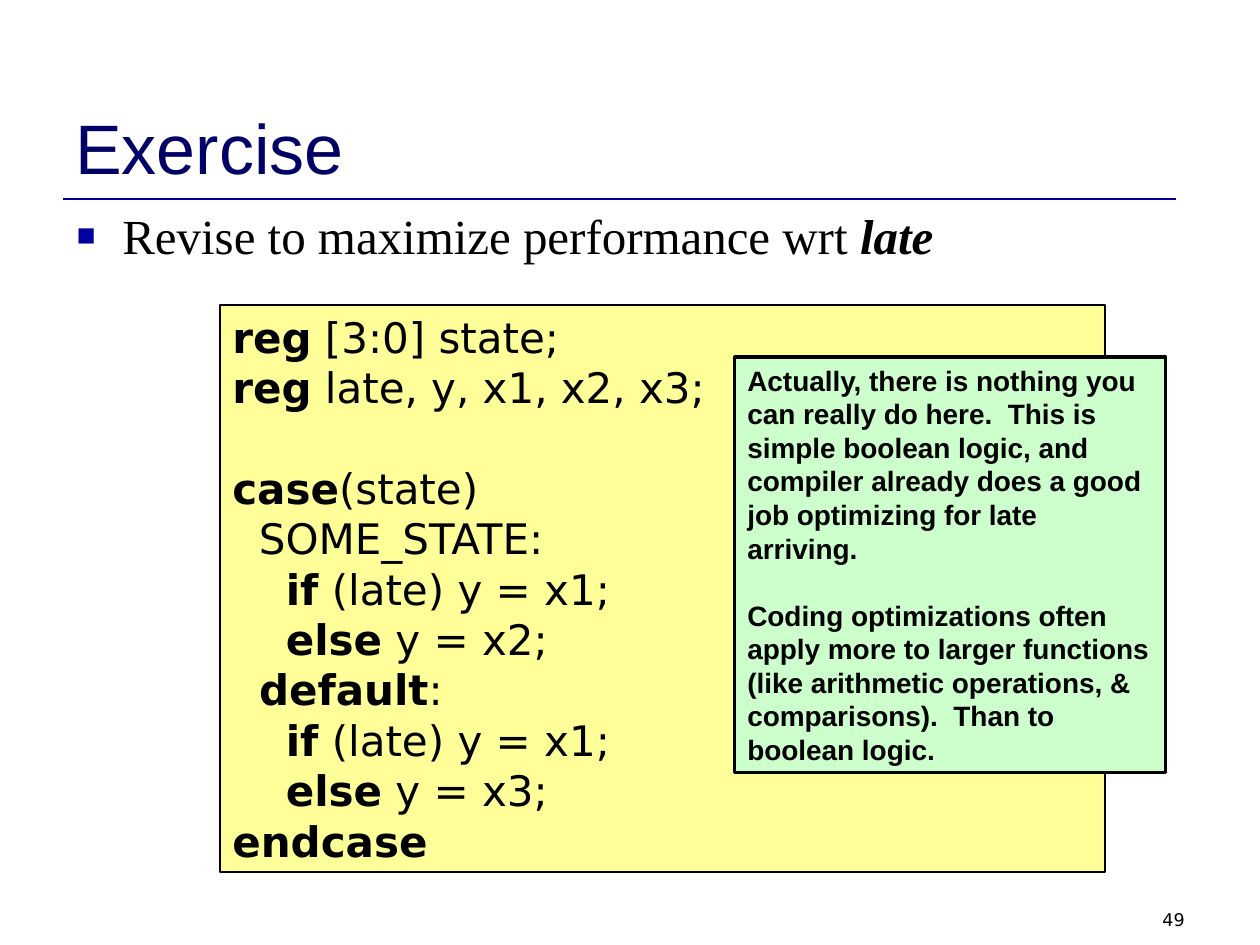
"""Build the Exercise slide with its code panel and comment panel."""
import dataclasses
import typing

import lxml.etree
import pptx
import pptx.dml.color
import pptx.enum.shapes
import pptx.enum.text
import pptx.oxml.ns
import pptx.util

PX = 914400 // 126


@dataclasses.dataclass(frozen=True)
class Theme:
    title: str = "000066"
    accent: str = "0000A0"
    ink: str = "000000"
    code_fill: str = "FFFF99"
    comment_fill: str = "CCFFCC"
    sans: str = "Arial"
    serif: str = "Times New Roman"
    code_font: str = "DejaVu Sans"
    title_size: int = 40
    bullet_size: int = 28
    code_size: int = 24
    comment_size: int = 16
    number_size: int = 10
    leading: float = 1.2


THEME = Theme()


class Area(typing.NamedTuple):
    left: int
    top: int
    width: int
    height: int


class Style(typing.NamedTuple):
    font: str
    size: int
    color: str = THEME.ink


class Span(typing.NamedTuple):
    text: str
    bold: bool = False
    italic: bool = False


class Line(typing.NamedTuple):
    spans: tuple[Span, ...]
    gap_before: bool = False


@dataclasses.dataclass(frozen=True)
class Panel:
    area: Area
    fill: str
    border: float
    style: Style
    lines: tuple[Line, ...]


def code(indent: str, keyword: str, rest: str = "", gap_before: bool = False) -> Line:
    spans = (Span(indent), Span(keyword, bold=True), Span(rest))
    return Line(tuple(span for span in spans if span.text), gap_before)


def branches(other: str) -> tuple[Line, ...]:
    return code("    ", "if", " (late) y = x1;"), code("    ", "else", f" y = {other};")


CODE = Panel(
    Area(220, 305, 885, 567), THEME.code_fill, 1,
    Style(THEME.code_font, THEME.code_size),
    (
        code("", "reg", " [3:0] state;"),
        code("", "reg", " late, y, x1, x2, x3;"),
        code("", "case", "(state)", gap_before=True),
        code("  ", "", "SOME_STATE:"),
        *branches("x2"),
        code("  ", "default", ":"),
        *branches("x3"),
        code("", "endcase"),
    ),
)
COMMENT = Panel(
    Area(735, 357, 431, 416), THEME.comment_fill, 1.75,
    Style(THEME.sans, THEME.comment_size),
    (
        Line((Span("Actually, there is nothing you can really do here.  This is simple "
                   "boolean logic, and compiler already does a good job optimizing for "
                   "late arriving.", bold=True),)),
        Line((Span("Coding optimizations often apply more to larger functions (like "
                   "arithmetic operations, & comparisons).  Than to boolean logic.",
                   bold=True),), gap_before=True),
    ),
)


def rgb(color: str) -> pptx.dml.color.RGBColor:
    return pptx.dml.color.RGBColor.from_string(color)


def emu(area: Area) -> list[int]:
    return [length * PX for length in area]


def add_spans(para, spans: tuple[Span, ...], style: Style) -> None:
    for span in spans:
        run = para.add_run()
        run.text = span.text
        run.font.name = style.font
        run.font.size = pptx.util.Pt(style.size)
        run.font.color.rgb = rgb(style.color)
        run.font.bold = span.bold
        run.font.italic = span.italic


def add_text(page, area: Area, spans: tuple[Span, ...], style: Style,
             anchor=pptx.enum.text.MSO_ANCHOR.TOP, align=pptx.enum.text.PP_ALIGN.LEFT):
    box = page.shapes.add_textbox(*emu(area))
    box.text_frame.word_wrap = True
    box.text_frame.vertical_anchor = anchor
    para = box.text_frame.paragraphs[0]
    para.alignment = align
    add_spans(para, spans, style)
    return para


def add_bullet(para, color: str, percent: int, indent: int) -> None:
    properties = para._p.get_or_add_pPr()
    properties.set("marL", str(indent * PX))
    properties.set("indent", str(-indent * PX))
    qn = pptx.oxml.ns.qn
    bullet_color = lxml.etree.SubElement(properties, qn("a:buClr"))
    lxml.etree.SubElement(bullet_color, qn("a:srgbClr"), val=color)
    lxml.etree.SubElement(properties, qn("a:buSzPct"), val=str(percent * 1000))
    lxml.etree.SubElement(properties, qn("a:buFont"), typeface=THEME.sans)
    lxml.etree.SubElement(properties, qn("a:buChar"), char="▪")


def add_rule(page, left: int, right: int, top: int) -> None:
    rule = page.shapes.add_connector(
        pptx.enum.shapes.MSO_CONNECTOR.STRAIGHT, left * PX, top * PX, right * PX, top * PX)
    rule.line.color.rgb = rgb(THEME.accent)
    rule.line.width = pptx.util.Pt(1.5)
    lxml.etree.SubElement(rule._element.spPr, pptx.oxml.ns.qn("a:effectLst"))


def add_panel(page, panel: Panel) -> None:
    box = page.shapes.add_shape(pptx.enum.shapes.MSO_SHAPE.RECTANGLE, *emu(panel.area))
    box.shadow.inherit = False
    box.fill.solid()
    box.fill.fore_color.rgb = rgb(panel.fill)
    box.line.color.rgb = rgb(THEME.ink)
    box.line.width = pptx.util.Pt(panel.border)
    frame = box.text_frame
    frame.word_wrap = True
    frame.vertical_anchor = pptx.enum.text.MSO_ANCHOR.TOP
    pitch = pptx.util.Pt(panel.style.size * THEME.leading)
    for index, line in enumerate(panel.lines):
        para = frame.add_paragraph() if index else frame.paragraphs[0]
        para.alignment = pptx.enum.text.PP_ALIGN.LEFT
        para.line_spacing = pitch
        if line.gap_before:
            para.space_before = pitch
        add_spans(para, line.spans, panel.style)


def main() -> None:
    deck = pptx.Presentation()
    deck.slide_width, deck.slide_height = 1260 * PX, 945 * PX
    page = deck.slides.add_slide(deck.slide_layouts[6])
    add_rule(page, 63, 1176, 199)
    add_text(page, Area(903, 903, 294, 32), (Span("49"),),
             Style(THEME.code_font, THEME.number_size),
             align=pptx.enum.text.PP_ALIGN.RIGHT)
    add_text(page, Area(63, 38, 1134, 157), (Span("Exercise"),),
             Style(THEME.sans, THEME.title_size, THEME.title),
             anchor=pptx.enum.text.MSO_ANCHOR.BOTTOM)
    task = add_text(page, Area(63, 199, 1166, 746),
                    (Span("Revise to maximize performance wrt "),
                     Span("late", bold=True, italic=True)),
                    Style(THEME.serif, THEME.bullet_size))
    add_bullet(task, THEME.accent, 125, 47)
    add_panel(page, CODE)
    add_panel(page, COMMENT)
    deck.save("out.pptx")


if __name__ == "__main__":
    main()
